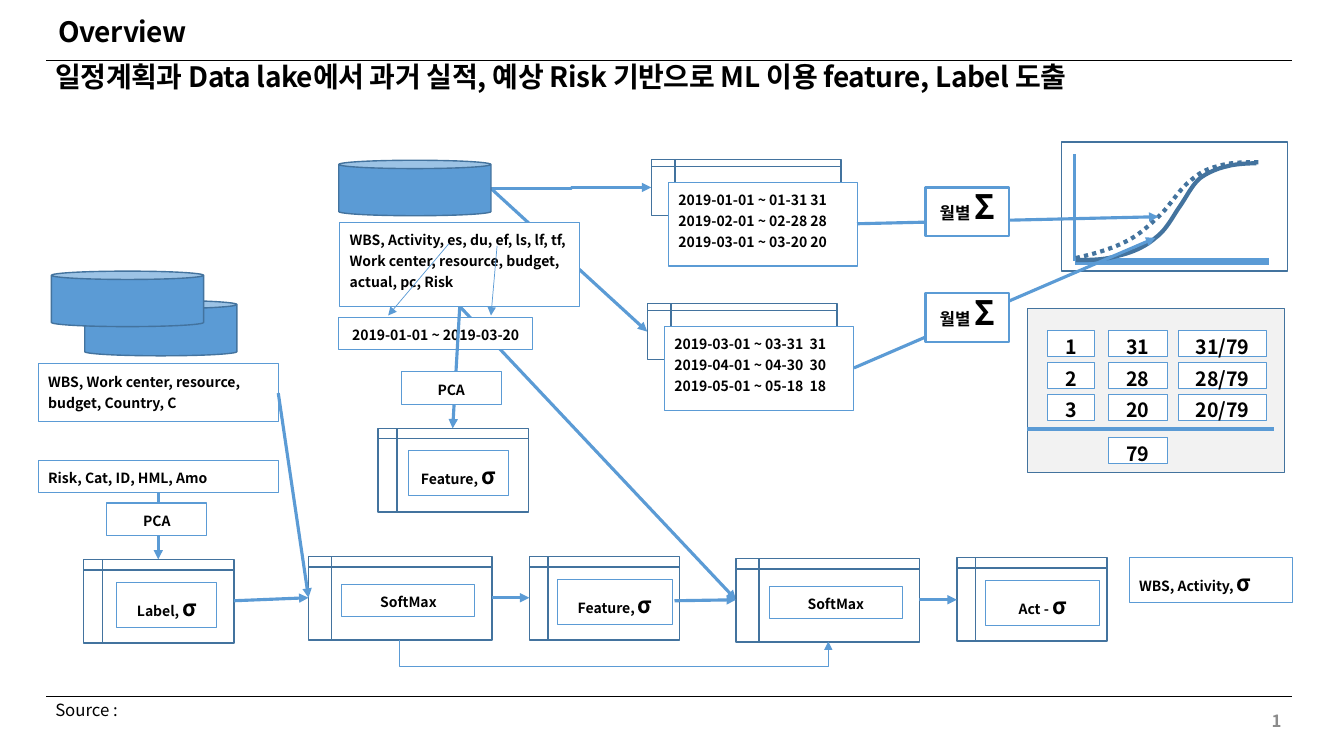
from dataclasses import dataclass
from lxml.etree import SubElement as Sub
from pptx import Presentation
from pptx.dml.color import RGBColor as Rgb
from pptx.enum.dml import MSO_LINE as Dash
from pptx.enum.shapes import MSO_CONNECTOR as Link, MSO_SHAPE as Kind
from pptx.enum.text import MSO_ANCHOR as Anchor, PP_ALIGN as Align
from pptx.oxml.ns import qn
from pptx.util import Inches, Pt


@dataclass(frozen=True)
class Theme:
    """Colours, type sizes, line widths and spacing."""
    font: str = "Noto Sans CJK KR"
    ink: str = "000000"
    gray: str = "8C8C8C"
    white: str = "FFFFFF"
    pale: str = "F2F2F2"
    blue: str = "5B9BD5"
    navy: str = "43739E"
    head: int = 20
    cell: int = 14
    note: int = 12
    body: int = 10
    sigma: int = 16
    total: int = 24
    thin: float = 0.5
    edge: float = 0.75
    bold: float = 2.25
    loose: float = 1.25
    tight: float = 0.83


T = Theme()
CELL = 0.1  # inches per grid column and row


@dataclass
class Box:
    """A region of the slide; lengths are grid cells from its corner."""
    shapes: object
    x: float = 0
    y: float = 0

    def spot(self, x, y):
        """Turn a grid point of the region into slide units."""
        return Inches((self.x + x) * CELL), Inches((self.y + y) * CELL)

    def size(self, w, h):
        """Turn a grid size into slide units."""
        return Inches(w * CELL), Inches(h * CELL)

    def form(self, kind, x, y, w, h, fill=T.white, edge=T.navy, width=1):
        """Add a filled, outlined preset shape."""
        shape = self.shapes.add_shape(kind, *self.spot(x, y), *self.size(w, h))
        shape.shadow.inherit = False
        shape.fill.solid()
        shape.fill.fore_color.rgb = Rgb.from_string(fill)
        paint(shape.line, edge, width)
        return shape

    def can(self, x, y):
        """Add a data store drum."""
        self.form(Kind.CAN, x, y, 15.1, 5.5, T.blue).adjustments[0] = 0.15

    def store(self, x, y, w, h=8.3):
        """Add an internal storage frame."""
        self.form(Kind.FLOWCHART_INTERNAL_STORAGE, x, y, w, h)

    def note(self, text, x, y, w, h=3.2, width=T.edge, **look):
        """Add an outlined box with text."""
        shape = self.form(Kind.RECTANGLE, x, y, w, h, T.white, T.blue, width)
        write(shape.text_frame, text, **look)

    def text(self, text, x, y, w, h, **look):
        """Add a plain text box."""
        shape = self.shapes.add_textbox(*self.spot(x, y), *self.size(w, h))
        write(shape.text_frame, text, **look)

    def line(self, start, end, width=T.bold, color=T.blue, tip=True,
             kind=Link.STRAIGHT):
        """Add a line, with an arrowhead unless tip is off."""
        link = self.shapes.add_connector(kind, *self.spot(*start), *self.spot(*end))
        paint(link.line, color, width)
        if tip:
            Sub(link.line._get_or_add_ln(), qn("a:tailEnd"), type="triangle")
        Sub(link._element.spPr, qn("a:effectLst"))
        return link

    def curve(self, knots, dash=None):
        """Add an open outline through cubic Bezier knots."""
        dots = [self.spot(*dot) for dot in bend(knots)]
        pen = self.shapes.build_freeform(*dots[0])
        pen.add_line_segments(dots[1:], close=False)
        shape = pen.convert_to_shape()
        shape.shadow.inherit = False
        shape.fill.background()
        paint(shape.line, T.navy, 3)
        if dash:
            shape.line.dash_style = dash


def paint(line, color, width):
    """Set the colour and width of a line."""
    line.color.rgb = Rgb.from_string(color)
    line.width = Pt(width)


def bend(knots, steps=10):
    """Sample a chain of cubic Bezier pieces."""
    dots = [knots[0]]
    for i in range(0, len(knots) - 1, 3):
        a, b, c, d = knots[i:i + 4]
        for t in (n / steps for n in range(1, steps + 1)):
            u = 1 - t
            dots.append(tuple(u**3 * p + 3 * u * u * t * q + 3 * u * t * t * r + t**3 * s
                              for p, q, r, s in zip(a, b, c, d)))
    return dots


def write(frame, text, size=T.body, sign="", big=T.sigma, align=Align.LEFT,
          anchor=Anchor.TOP, gap=T.loose, color=T.ink, bold=True, track=0):
    """Fill a frame with text, then a larger closing sign."""
    frame.text = text
    frame.word_wrap = True
    frame.vertical_anchor = anchor
    if sign:
        frame.paragraphs[-1].add_run().text = sign
    for para in frame.paragraphs:
        para.alignment, para.line_spacing = align, gap
        for run in para.runs:
            font = run.font
            font.name, font.bold = T.font, bold
            font.size = Pt(big if sign and run.text == sign else size)
            font.color.rgb = Rgb.from_string(color)
            mark = run._r.get_or_add_rPr()
            Sub(mark, qn("a:ea"), typeface=T.font)
            if track:
                mark.set("spc", str(track))


def frame(box):
    """Draw rules, titles, source and page number."""
    for y in (6, 69.1):
        box.line((4.6, y), (128.1, y), T.thin, T.ink, tip=False)
    head = dict(size=T.head, gap=T.tight, track=-30)
    box.text("Overview", 4.8, 1.5, 121.1, 4.4, **head)
    box.text("일정계획과 Data lake에서 과거 실적, 예상 Risk 기반으로 ML 이용 feature, Label 도출",
             4.5, 6, 121.1, 4.4, **head)
    box.text("Source :", 4.5, 69.3, 118, 3, size=T.note, gap=T.tight, bold=False)
    box.text("1", 98.1, 69.5, 30, 4, size=T.note, gap=1, color=T.gray,
             align=Align.RIGHT, anchor=Anchor.MIDDLE)


def lake(box):
    """Draw the data lake, its fields and the feature store."""
    box.line((12, 14.5), (39.4, 43.6))
    box.line((15.1, 2.8), (30.6, 17))
    box.line((15.1, 2.8), (31, 2.7), kind=Link.ELBOW)
    box.can(0, 0)
    box.note("WBS, Activity, es, du, ef, ls, lf, tf, Work center, resource, "
             "budget, actual, pc, Risk", 0.1, 6.2, 23.8, 8.3)
    box.note("2019-01-01 ~ 2019-03-20", 0, 15.6, 19.2, align=Align.CENTER)
    box.line((10.9, 8.3), (4.9, 15.4), T.thin)
    box.line((15.7, 8.5), (15.1, 15.4), T.thin)
    box.line((12, 14.5), (11.3, 26.6))
    box.note("PCA", 6.2, 21, 9.9, align=Align.CENTER)
    box.store(3.9, 26.6, 14.9)
    box.note("Feature, ", 6.9, 28.8, 9.9, 4.5, sign="σ", align=Align.CENTER)


def period(box, rows):
    """Draw a store with its monthly date ranges."""
    box.store(0, 0, 18.8, 5.6)
    box.note("\n".join(rows), 1.7, 2.3, 18.8, 8.3)


def graph(box):
    """Draw the panel with the planned and actual curves."""
    box.form(Kind.RECTANGLE, 0, 0, 22.4, 12.8)
    box.line((1.3, 11.8), (20.6, 11.8), 5, tip=False)
    box.line((1.3, 1.2), (1.3, 11.8), 2, tip=False)
    box.curve([(1.4, 11.5), (3.2, 11.1), (4.9, 10.6), (6.3, 9.9), (7.7, 9.2),
               (8.5, 8.4), (9.6, 7.4), (10.7, 6.4), (11.7, 4.6), (12.8, 3.8),
               (13.8, 2.9), (14.6, 2.6), (15.8, 2.3), (16.9, 2), (18.2, 2),
               (19.5, 2)], Dash.ROUND_DOT)
    box.curve([(1.4, 11.7), (2.8, 11.7), (4.2, 11.7), (5.5, 11.3), (6.9, 11),
               (8.3, 10.4), (9.3, 9.5), (10.4, 8.7), (11, 7.4), (11.7, 6.4),
               (12.4, 5.4), (12.9, 4.3), (13.7, 3.6), (14.5, 3), (15.5, 2.6),
               (16.4, 2.4), (17.4, 2.1), (19.3, 2.1), (19.3, 2.1)])


def sums(box):
    """Draw both monthly sums on their way to the curves."""
    box.line((-7.1, 17.9), (22.8, 5))
    box.line((-6.8, 3.6), (23.1, 2.9))
    for y in (0, 10.5):
        box.note("월별 ", 0, y, 8.3, 4.8, 1.5, size=T.note, sign="Σ",
                 big=T.total, align=Align.CENTER, gap=T.tight)


def shares(box, days):
    """Draw each month's days as a share of the total."""
    look = dict(h=2.6, size=T.cell, align=Align.CENTER, anchor=Anchor.MIDDLE)
    total = sum(days)
    box.form(Kind.RECTANGLE, 0, 0, 25.5, 16.3, T.pale)
    for i, day in enumerate(days):
        y = 2.2 + 3.15 * i
        box.note(str(i + 1), 2, y, 4.7, **look)
        box.note(str(day), 8, y, 5.9, **look)
        box.note(f"{day}/{total}", 15, y, 8.7, **look)
    box.line((0, 12), (24.5, 12), 3, tip=False)
    box.note(str(total), 8, 12.8, 5.9, **look)


def risk(box):
    """Draw the risk data and its label store."""
    box.line((11.9, 22), (11.9, 28.6))
    box.can(4.6, 2.9)
    box.can(1.3, 0)
    box.note("WBS, Work center, resource, budget, Country, C", 0, 9.2, 23.8, 5.7)
    box.note("Risk, Cat, ID, HML, Amo", 0, 18.8, 23.8)
    box.note("PCA", 6.8, 23, 9.9, align=Align.CENTER)
    box.store(4.5, 28.6, 14.9)
    box.note("Label, ", 7.8, 30.9, 9.9, 4.5, sign="σ", align=Align.CENTER)


def chain(box):
    """Draw the learning chain from label to activity."""
    for x, y, text, sign in ((0, 0, "SoftMax", ""), (21.9, 0, "Feature, ", "σ"),
                             (42.4, 0.2, "SoftMax", ""), (64.3, 0.1, "Act - ", "σ")):
        wide, dx, dy, w, h = ((14.9, 2.8, 2.3, 11.4, 4.5) if sign
                              else (18.2, 3.3, 2.8, 13.2, 3.2))
        box.store(x, y, wide)
        box.note(text, x + dx, y + dy, w, h, sign=sign, align=Align.CENTER)
    box.note("WBS, Activity, ", 81.4, 0.1, 16.2, 4.5, sign="σ")
    for start, end in (((-3, -16.2), (0, 4.1)), ((-7.4, 4.4), (0, 4.1)),
                       ((18.2, 4.1), (21.9, 4.1)), ((36.3, 4.4), (42.4, 4.3)),
                       ((60.6, 4.3), (64.3, 4.3))):
        box.line(start, end)
    loop = box.line((30.4, -12.9), (30.2, 29.6), T.thin, kind=Link.ELBOW)
    loop._element.spPr.find(qn("a:xfrm")).set("rot", str(270 * 60000))
    guide = next(loop._element.iter(qn("a:avLst")))
    Sub(guide, qn("a:gd"), name="adj1", fmla="val 1300000")


def main():
    """Build the slide and save it."""
    deck = Presentation()
    deck.slide_width, deck.slide_height = Inches(13.33), Inches(7.5)
    shapes = deck.slides.add_slide(deck.slide_layouts[6]).shapes
    frame(Box(shapes))
    graph(Box(shapes, 105.3, 14.1))
    lake(Box(shapes, 33.6, 15.9))
    period(Box(shapes, 64.6, 15.8), ("2019-01-01 ~ 01-31 31", "2019-02-01 ~ 02-28 28",
                                     "2019-03-01 ~ 03-20 20"))
    period(Box(shapes, 64.2, 30.1), ("2019-03-01 ~ 03-31  31", "2019-04-01 ~ 04-30  30",
                                     "2019-05-01 ~ 05-18  18"))
    shares(Box(shapes, 101.9, 30.6), (31, 28, 20))
    sums(Box(shapes, 91.8, 18.6))
    risk(Box(shapes, 3.8, 26.9))
    chain(Box(shapes, 30.6, 55.2))
    deck.save("out.pptx")


main()
